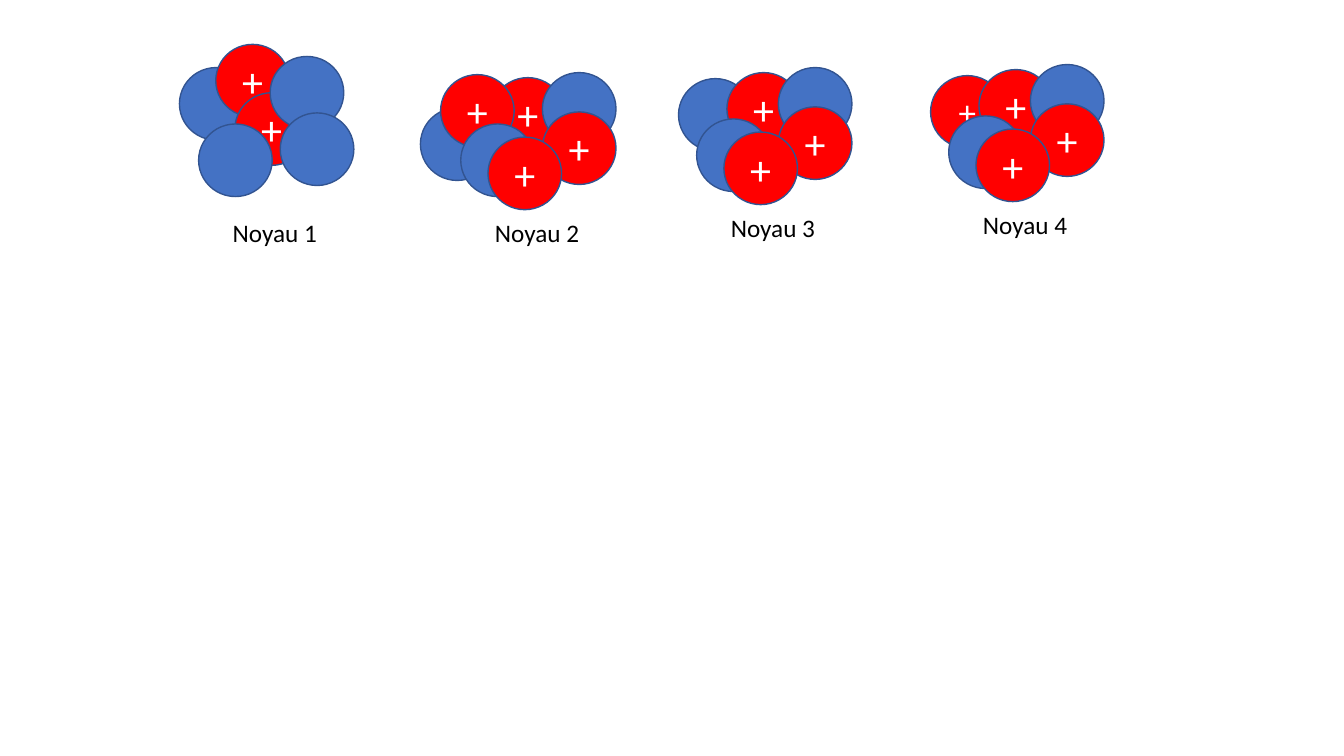
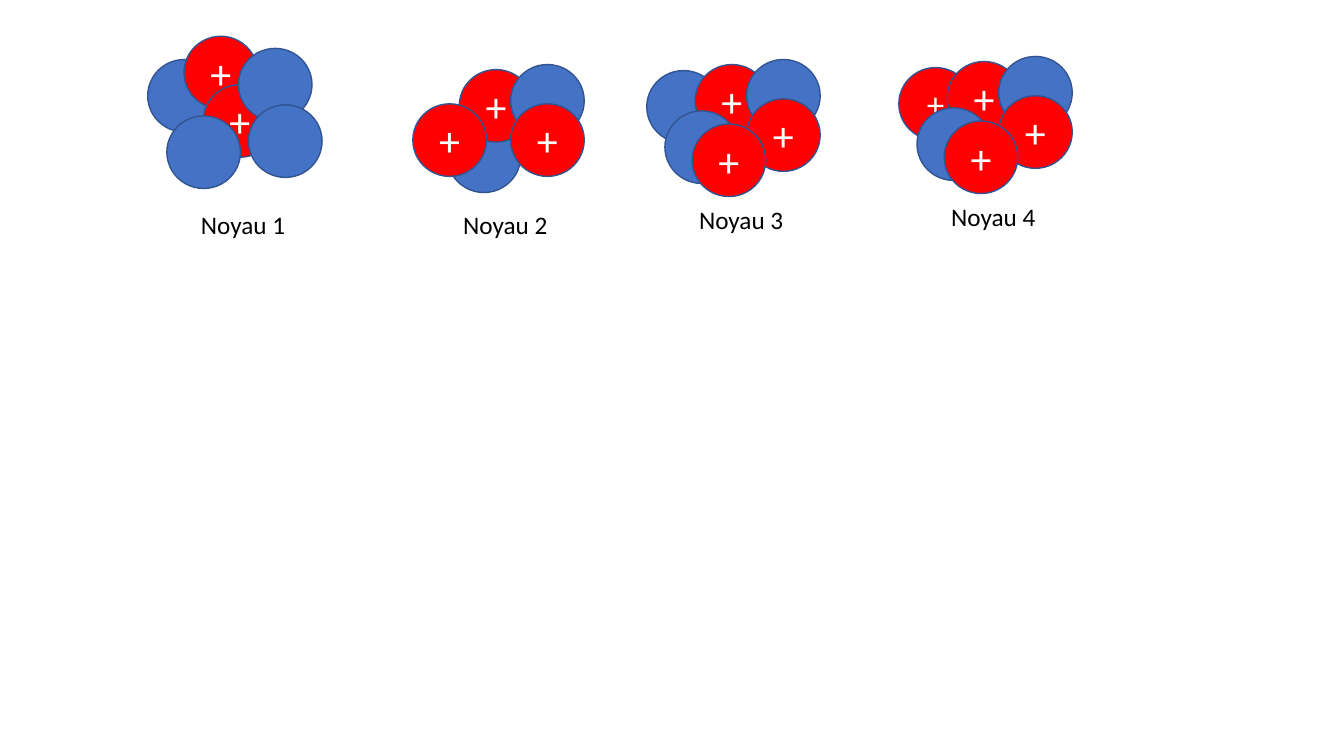
from pptx import Presentation
from pptx.dml.color import RGBColor
from pptx.enum.shapes import MSO_SHAPE
from pptx.enum.text import MSO_ANCHOR, MSO_AUTO_SIZE, PP_ALIGN
from pptx.util import Inches, Pt

BLUE = RGBColor(0x44, 0x72, 0xC4)
RED = RGBColor(0xFF, 0x00, 0x00)
OUTLINE = RGBColor(0x32, 0x54, 0x91)
WHITE = RGBColor(0xFF, 0xFF, 0xFF)
BLACK = RGBColor(0x00, 0x00, 0x00)

NEUTRON = {"fill": BLUE, "size": None}
PROTON = {"fill": RED, "size": 30}
SMALL_PROTON = {"fill": RED, "size": 25}

RIGHT_PAIR = [(NEUTRON, 5.7, -13.9), (PROTON, 5.7, -10)]
FRONT_PAIR = [(NEUTRON, -2.4, -8.8), (PROTON, 0.3, -7.5)]
TOP_PROTON = (PROTON, 0.6, -13.4)

SIX_BALLS = [
    (NEUTRON, -4.3, -14.4),
    (PROTON, -0.7, -16.7),
    (PROTON, 1.2, -11.9),
    (NEUTRON, 4.7, -15.5),
    (NEUTRON, 5.7, -9.9),
    (NEUTRON, -2.4, -8.8),
]
SEVEN_BALLS = [
    (NEUTRON, -6.4, -10.4), TOP_PROTON, (PROTON, -4.4, -13.7),
    *RIGHT_PAIR, *FRONT_PAIR,
]
FIVE_BALLS = [
    (NEUTRON, -0.6, -8.4), TOP_PROTON, (PROTON, -4, -10), *RIGHT_PAIR,
]


def cluster(first):
    return [(first, -4.2, -12.8), TOP_PROTON, *RIGHT_PAIR, *FRONT_PAIR]


LABEL_PLACES = [(22.1, 21.1), (48.1, 21.1), (71.5, 20.6), (96.5, 20.3)]
PAGES = [
    {"shift": (0, 0), "second": SEVEN_BALLS},
    {"shift": (-3.15, -0.8), "second": FIVE_BALLS},
]


class NucleusDeck:
    cell = Inches(0.1)
    ball_size = (7.3, 7.2)
    label_size = (11.3, 4)
    font_name = "Calibri"

    def __init__(self):
        self.deck = Presentation()
        self.deck.slide_width = Inches(13.33)
        self.deck.slide_height = Inches(7.5)
        self.page = None

    def add_page(self):
        self.page = self.deck.slides.add_slide(self.deck.slide_layouts[6])

    def place(self, column, row, size):
        return [round(value * self.cell) for value in (column, row, *size)]

    def add_words(self, box, text, size, color, align):
        para = box.text_frame.paragraphs[0]
        para.alignment = align
        span = para.add_run()
        span.text = text
        formats = {"name": self.font_name, "size": Pt(size), "bold": False}
        for name, value in formats.items():
            setattr(span.font, name, value)
        span.font.color.rgb = color

    def ball(self, kind, column, row):
        box = self.page.shapes.add_shape(
            MSO_SHAPE.OVAL, *self.place(column, row, self.ball_size))
        box.shadow.inherit = False
        box.fill.solid()
        box.fill.fore_color.rgb = kind["fill"]
        box.line.color.rgb = OUTLINE
        box.line.width = Pt(1)
        if kind["size"]:
            box.text_frame.vertical_anchor = MSO_ANCHOR.MIDDLE
            self.add_words(box, "+", kind["size"], WHITE, PP_ALIGN.CENTER)

    def label(self, text, column, row):
        box = self.page.shapes.add_textbox(
            *self.place(column, row, self.label_size))
        formats = {"word_wrap": True,
                   "auto_size": MSO_AUTO_SIZE.SHAPE_TO_FIT_TEXT}
        for name, value in formats.items():
            setattr(box.text_frame, name, value)
        self.add_words(box, text, 18, BLACK, PP_ALIGN.LEFT)

    def nucleus(self, text, balls, column, row):
        for kind, across, down in balls:
            self.ball(kind, column + across, row + down)
        self.label(text, column, row)


def main():
    nuclei = NucleusDeck()
    for content in PAGES:
        nuclei.add_page()
        across, down = content["shift"]
        groups = [SIX_BALLS, content["second"],
                  cluster(NEUTRON), cluster(SMALL_PROTON)]
        for number, (balls, (column, row)) in enumerate(
                zip(groups, LABEL_PLACES), start=1):
            nuclei.nucleus(f"Noyau {number}", balls,
                           column + across, row + down)
    nuclei.deck.save("out.pptx")


if __name__ == "__main__":
    main()
